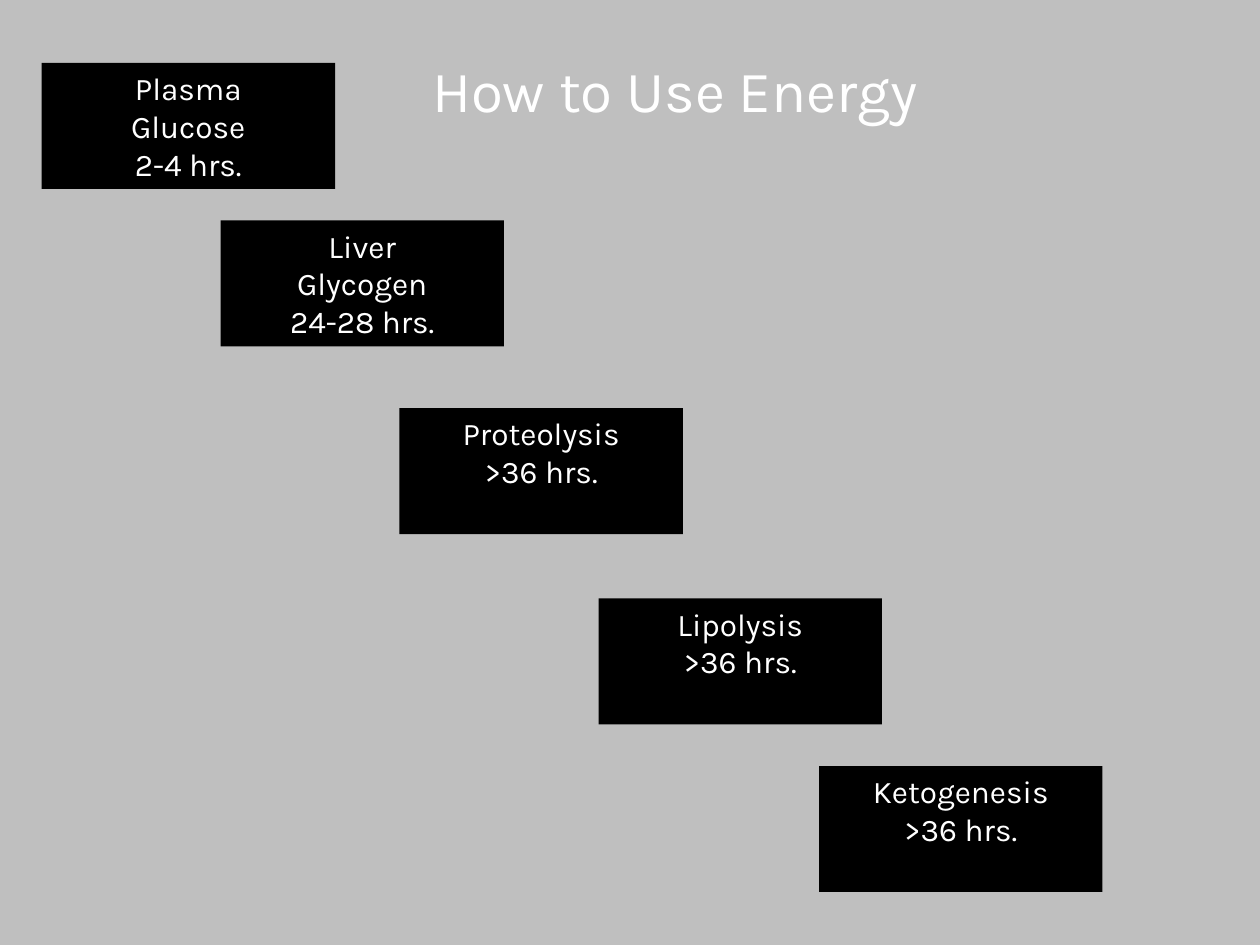
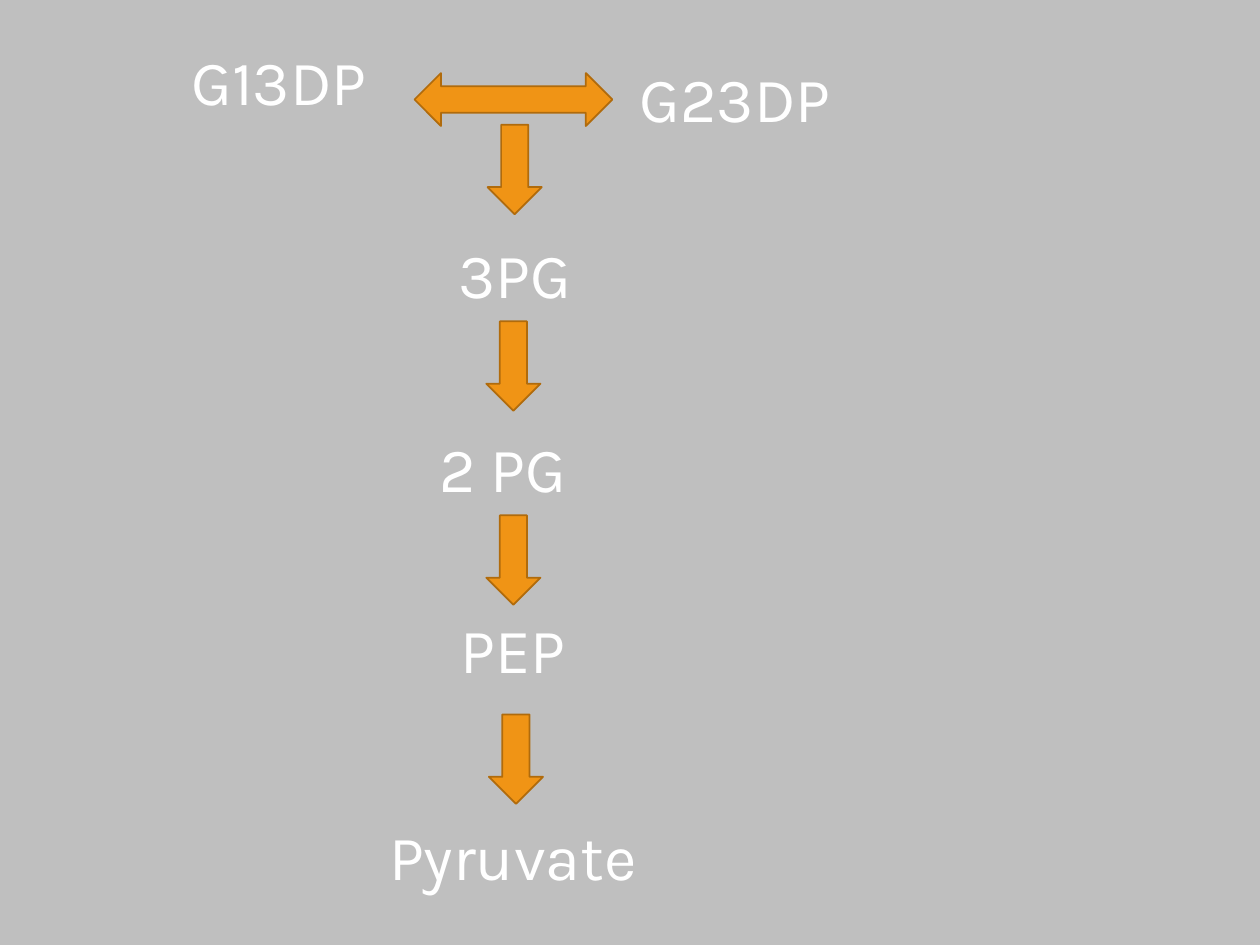
from pptx import Presentation
from pptx.dml.color import RGBColor
from pptx.enum.shapes import MSO_SHAPE
from pptx.enum.text import MSO_ANCHOR, MSO_AUTO_SIZE, PP_ALIGN
from pptx.util import Pt

PX = 9144  # EMU per px, 100 px to the inch
FONT = "Karla"
HEX = {"back": "BFBFBF", "box": "000000", "text": "FFFFFF",
       "arrow": "F09415", "edge": "B06B0C"}


def color(name):
    return RGBColor.from_string(HEX[name])


class Deck:
    def __init__(self, wide, high):
        self.prs = Presentation()
        self.prs.slide_width = wide * PX
        self.prs.slide_height = high * PX
        fill = self.prs.slide_master.background.fill
        fill.solid()
        fill.fore_color.rgb = color("back")
        self.slide = None

    def page(self, layout):
        self.slide = self.prs.slides.add_slide(self.prs.slide_layouts[layout])

    def put_text(self, shape, lines, size, align, space=None):
        """Fill a shape with top-anchored text, one paragraph a line."""
        frame = shape.text_frame
        frame.word_wrap = True
        frame.auto_size = MSO_AUTO_SIZE.NONE
        frame.vertical_anchor = MSO_ANCHOR.TOP
        for i, line in enumerate(lines):
            para = frame.add_paragraph() if i else frame.paragraphs[0]
            para.alignment = align
            para.line_spacing = space
            run = para.add_run()
            run.text = line
            run.font.size = Pt(size)
            run.font.name = FONT
            run.font.color.rgb = color("text")

    def title(self, text, x, y, w, h):
        shape = self.slide.shapes.title
        shape.left, shape.top = x * PX, y * PX
        shape.width, shape.height = w * PX, h * PX
        self.put_text(shape, [text], 33.3, PP_ALIGN.LEFT, 0.8)

    def shape(self, kind, x, y, w, h, fill, edge=None):
        shape = self.slide.shapes.add_shape(kind, x * PX, y * PX, w * PX, h * PX)
        shape.shadow.inherit = False
        shape.fill.solid()
        shape.fill.fore_color.rgb = color(fill)
        if edge:
            shape.line.color.rgb = color(edge)
            shape.line.width = Pt(1)
        else:
            shape.line.fill.background()
        return shape

    def box(self, lines, x, y, w, h=100):
        shape = self.shape(MSO_SHAPE.RECTANGLE, x, y, w, h, "box")
        self.put_text(shape, lines, 18, PP_ALIGN.CENTER)

    def arrow(self, kind, x, y, w, h):
        self.shape(kind, x, y, w, h, "arrow", "edge")

    def label(self, text, x, y, w, align=PP_ALIGN.CENTER):
        shape = self.slide.shapes.add_textbox(x * PX, y * PX, w * PX, 70 * PX)
        self.put_text(shape, [text], 36, align)


def fuel(deck):
    """Stairs of energy sources, by hours of fasting."""
    deck.page(5)
    steps = [
        (["Plasma", "Glucose", "2-4 hrs."], 33, 50, 233),
        (["Liver", "Glycogen", "24-28 hrs."], 175, 175, 225),
        (["Proteolysis", ">36 hrs."], 317, 324, 225),
        (["Lipolysis", ">36 hrs."], 475, 475, 225),
        (["Ketogenesis", ">36 hrs."], 650, 608, 225),
    ]
    for step in steps:
        deck.box(*step)
    deck.title("How to Use Energy", 333, 49, 450, 93)


def pathway(deck):
    """Chain of steps from G13DP down to pyruvate."""
    deck.page(6)
    deck.label("G13DP", 124, 29, 195)
    deck.label("G23DP", 498, 42, 202, PP_ALIGN.LEFT)
    deck.label("3PG", 311, 182, 195)
    deck.label("2 PG", 339, 336, 159, PP_ALIGN.LEFT)
    deck.label("PEP", 315, 480, 184)
    deck.label("Pyruvate", 274, 644, 266)
    deck.arrow(MSO_SHAPE.LEFT_RIGHT_ARROW, 329, 58, 157, 42)
    for x, y in [(387, 99), (386, 255), (386, 409), (388, 567)]:
        deck.arrow(MSO_SHAPE.DOWN_ARROW, x, y, 43, 71)


def main():
    deck = Deck(1000, 750)
    fuel(deck)
    pathway(deck)
    deck.prs.save("out.pptx")


if __name__ == "__main__":
    main()
